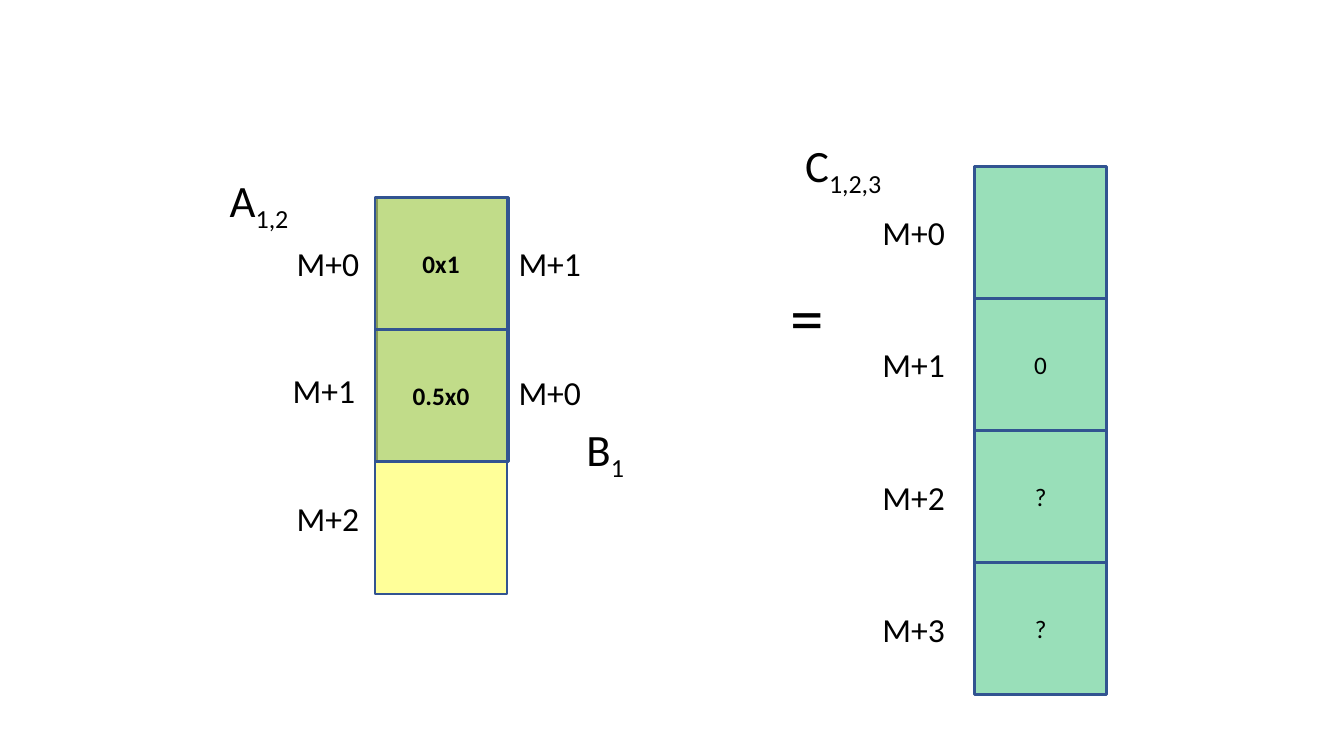
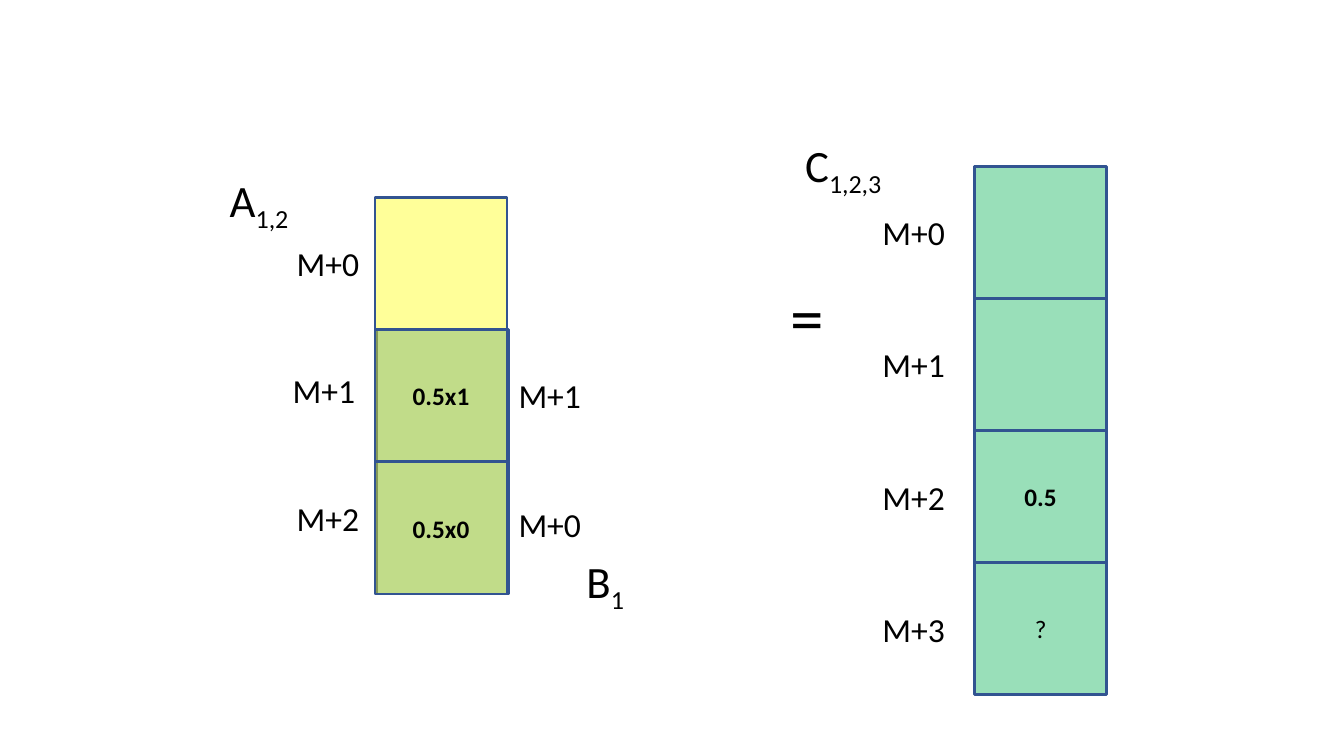
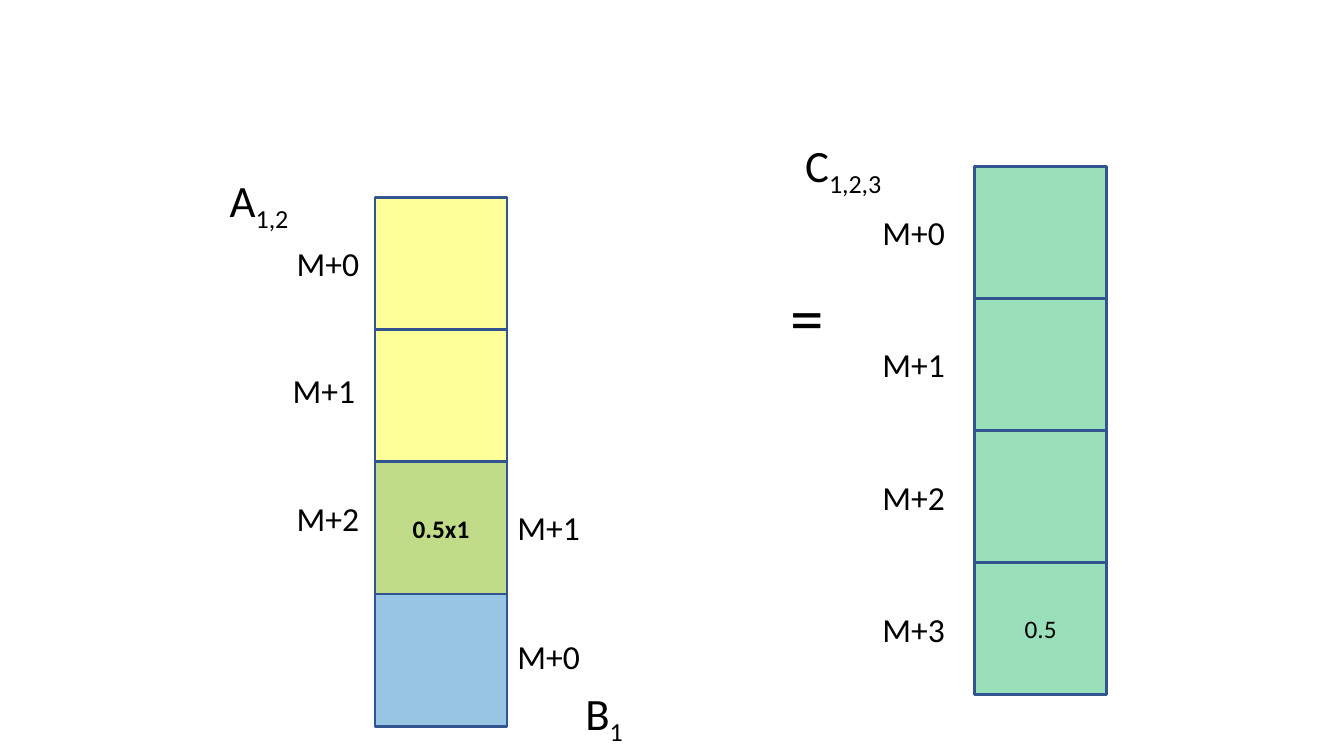
import pptx
import pptx.util
import pptx.dml.color
import pptx.enum.shapes
import pptx.enum.text
from pptx.oxml.ns import qn
import lxml.etree

Cm = pptx.util.Cm
Align = pptx.enum.text.PP_ALIGN

COLORS = {
    "a": "FFFF00",
    "b": "0070C0",
    "c": "00B050",
    "outline": "325491",
    "text": "000000",
}
FONT = "Calibri"
OPACITY = 40
CELL = 3.33
LABEL_SIZE = (3.07, 1.27)
NAME_HEIGHT = 1.63

A_LEFT, A_TOP = 9.45, 4.98
C_LEFT, C_TOP = 24.56, 4.19
A_LABELS = [("M+0", 6.73), ("M+1", 6.63), ("M+2", 6.73)]
B_LABELS = ["M+1", "M+0"]
C_LABELS = ["M+0", "M+1", "M+2", "M+3"]

STEPS = [
    {"b_left": 9.48, "b_row": 0, "products": ["0x1", "0.5x0", ""],
     "sums": ["", "0", "?", "?"], "bold_sums": False},
    {"b_left": 9.48, "b_row": 1, "products": ["", "0.5x1", "0.5x0"],
     "sums": ["", "", "0.5", "?"], "bold_sums": True},
    {"b_left": 9.45, "b_row": 2, "products": ["", "", "0.5x1"],
     "sums": ["", "", "", "0.5"], "bold_sums": False},
]


def rgb(name):
    return pptx.dml.color.RGBColor.from_string(COLORS[name])


def style_span(span, size, bold=False):
    span.font.name = FONT
    span.font.size = pptx.util.Pt(size)
    span.font.bold = bold
    span.font.color.rgb = rgb("text")


def add_text(shapes, text, left, top, width, height, size, align=Align.CENTER, subscript=""):
    box = shapes.add_textbox(Cm(left), Cm(top), Cm(width), Cm(height))
    frame = box.text_frame
    frame.word_wrap = True
    frame.auto_size = pptx.enum.text.MSO_AUTO_SIZE.SHAPE_TO_FIT_TEXT
    para = frame.paragraphs[0]
    para.text = text
    para.alignment = align
    if subscript:
        span = para.add_run()
        span.text = subscript
        span.font._element.set("baseline", "-25000")
    for span in para.runs:
        style_span(span, size)


def add_label(shapes, text, left, top):
    add_text(shapes, text, left, top, *LABEL_SIZE, 24)


def add_name(shapes, letter, indices, left, top, width):
    add_text(shapes, letter, left, top, width, NAME_HEIGHT, 32, Align.LEFT, indices)


def add_column(shapes, color, left, top, values, bold=False):
    for row, value in enumerate(values):
        cell = shapes.add_shape(
            pptx.enum.shapes.MSO_SHAPE.RECTANGLE,
            Cm(left), Cm(top + row * CELL), Cm(CELL), Cm(CELL))
        cell.shadow.inherit = False
        cell.fill.solid()
        cell.fill.fore_color.rgb = rgb(color)
        tint = cell._element.spPr.find(qn("a:solidFill")).find(qn("a:srgbClr"))
        lxml.etree.SubElement(tint, qn("a:alpha")).set("val", str(OPACITY * 1000))
        cell.line.color.rgb = rgb("outline")
        cell.line.width = pptx.util.Pt(2)
        if value:
            frame = cell.text_frame
            frame.text = value
            frame.vertical_anchor = pptx.enum.text.MSO_ANCHOR.MIDDLE
            para = frame.paragraphs[0]
            para.alignment = Align.CENTER
            style_span(para.runs[0], 18, bold and value != "?")


def draw_b(shapes, left, row):
    top = A_TOP + row * CELL
    add_column(shapes, "b", left, top, [""] * len(B_LABELS))
    for index, text in enumerate(B_LABELS):
        add_label(shapes, text, left + 2.84, top + 1.02 + index * 3.25)
    add_name(shapes, "B", "1", left + 5.05, top + 5.51, 1.63)


def draw_a(shapes, products):
    add_column(shapes, "a", A_LEFT, A_TOP, products, bold=True)
    for index, (text, left) in enumerate(A_LABELS):
        add_label(shapes, text, left, A_TOP + 1.01 + index * 3.21)
    add_name(shapes, "A", "1,2", 5.54, 4.22, 2.62)


def draw_c(shapes, sums, bold):
    add_column(shapes, "c", C_LEFT, C_TOP, sums, bold)
    for index, text in enumerate(C_LABELS):
        add_label(shapes, text, 21.49, C_TOP + 1.02 + index * 3.34)
    add_name(shapes, "C", "1,2,3", 20.04, 3.35, 3.71)


def main():
    deck = pptx.Presentation()
    deck.slide_width = Cm(33.87)
    deck.slide_height = Cm(19.05)
    for step in STEPS:
        page = deck.slides.add_slide(deck.slide_layouts[6])
        draw_b(page.shapes.add_group_shape().shapes, step["b_left"], step["b_row"])
        draw_a(page.shapes.add_group_shape().shapes, step["products"])
        add_text(page.shapes, "=", 19.53, 6.81, 1.63, 2.31, 48)
        draw_c(page.shapes.add_group_shape().shapes, step["sums"], step["bold_sums"])
    deck.save("out.pptx")


if __name__ == "__main__":
    main()
